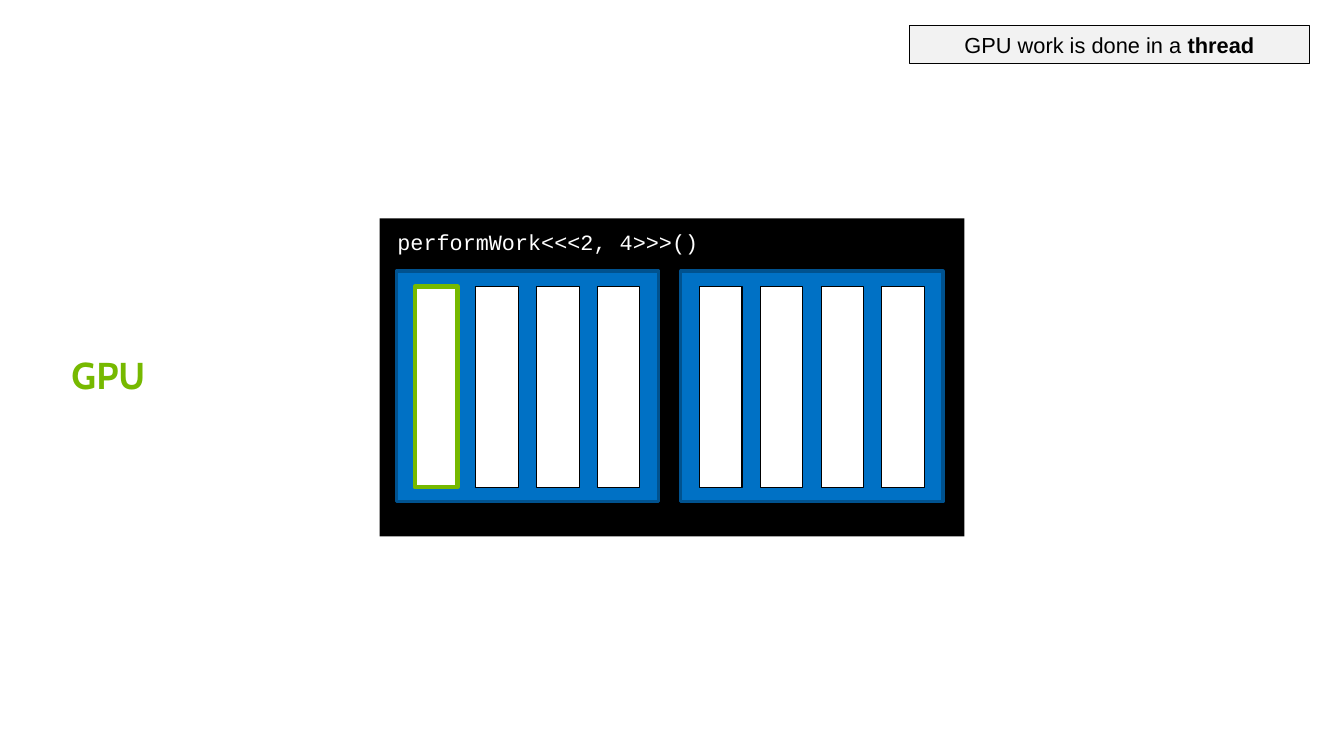
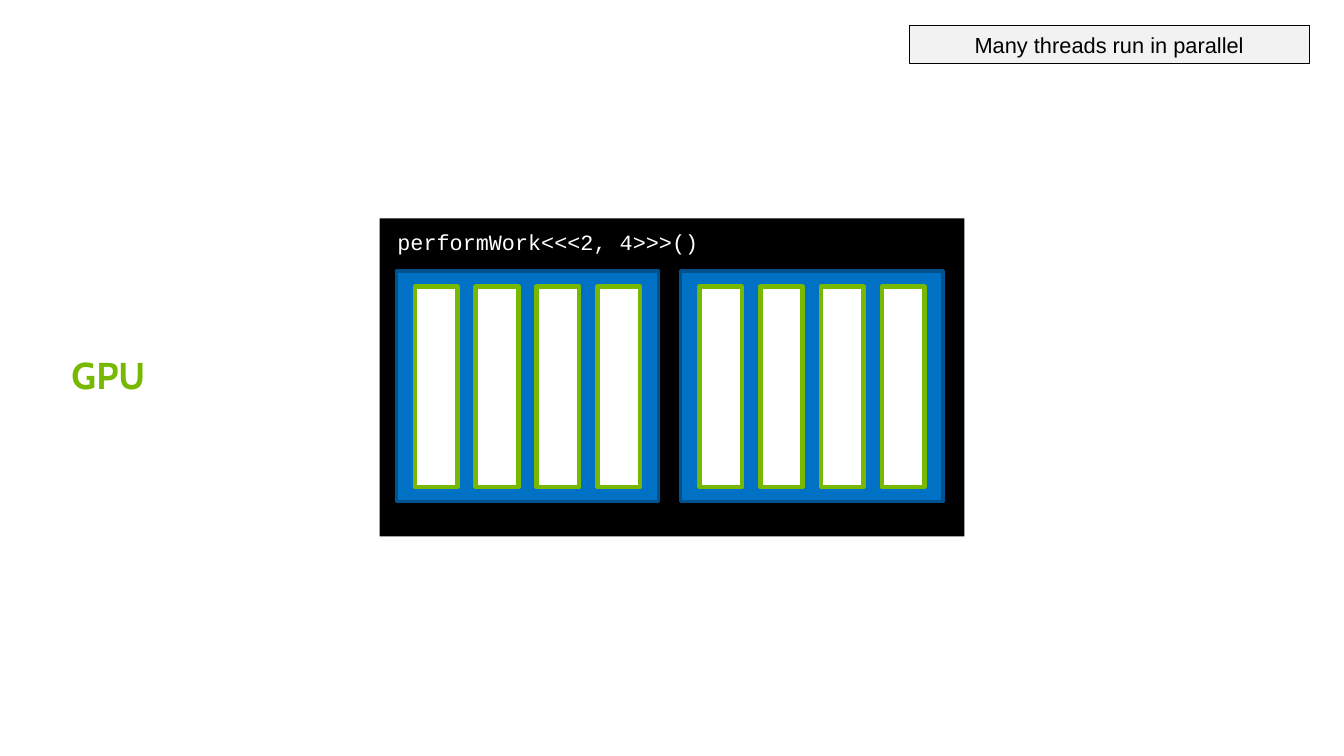
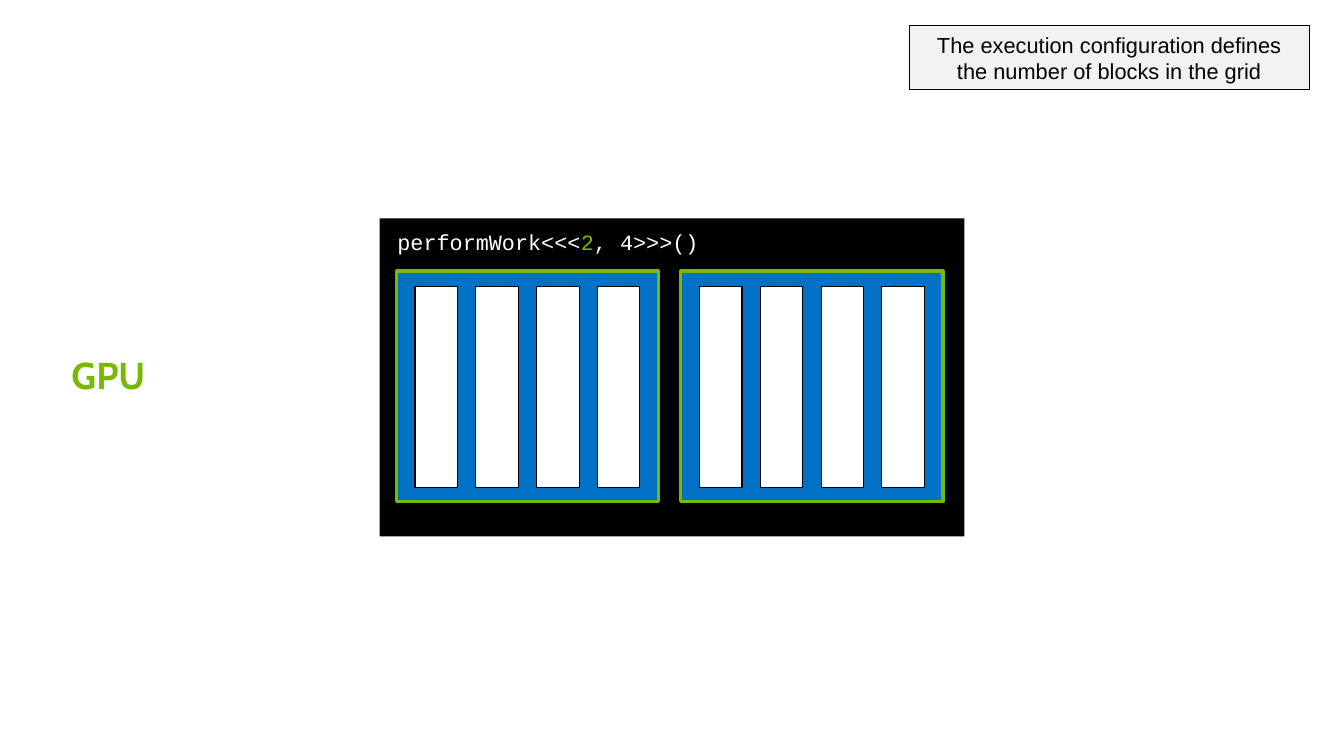
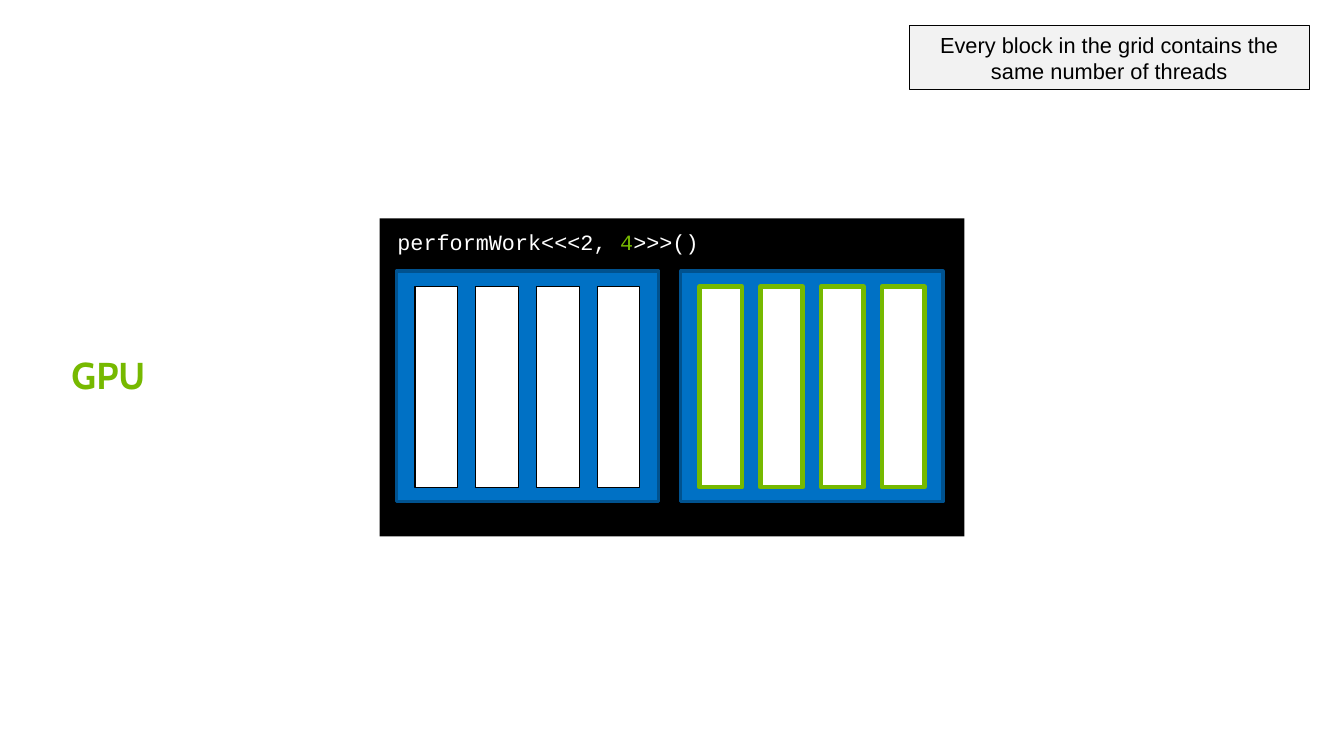
import pptx
import pptx.dml.color
import pptx.enum.shapes
import pptx.enum.text
import pptx.util

Inches = pptx.util.Inches
Pt = pptx.util.Pt
ALIGN = pptx.enum.text.PP_ALIGN
ANCHOR = pptx.enum.text.MSO_ANCHOR

# Shared colours
BLACK, WHITE, GREY = "000000", "FFFFFF", "F2F2F2"
GREEN, BLUE, DARK_BLUE = "76B900", "0071C5", "00528F"

# Grid of blocks and threads, in inches
BLOCK_COUNT, THREADS_PER_BLOCK = 2, 4
BLOCK_LEFT, BLOCK_TOP, BLOCK_WIDTH, BLOCK_HEIGHT = 3.54, 2.42, 2.34, 2.06
BLOCK_PITCH = 2.54
THREAD_INSET, THREAD_TOP, THREAD_WIDTH, THREAD_HEIGHT = 0.165, 2.56, 0.38, 1.79
THREAD_PITCH = 0.543
ALL_THREADS = range(BLOCK_COUNT * THREADS_PER_BLOCK)
CODE_MIDDLE = 2.16


def rgb(color):
    return pptx.dml.color.RGBColor.from_string(color)


def add_rectangle(shapes, left, top, width, height, fill, line=None, line_width=0.75):
    shape = shapes.add_shape(
        pptx.enum.shapes.MSO_SHAPE.RECTANGLE,
        Inches(left), Inches(top), Inches(width), Inches(height))
    shape.shadow.inherit = False
    shape.fill.solid()
    shape.fill.fore_color.rgb = rgb(fill)
    if line:
        shape.line.color.rgb = rgb(line)
        shape.line.width = Pt(line_width)
    else:
        shape.line.fill.background()
    return shape


def write_text(shape, runs, font, size, anchor, align=ALIGN.LEFT):
    """Fill a shape with one paragraph; each run is (text, colour, bold)."""
    frame = shape.text_frame
    frame.word_wrap = True
    frame.vertical_anchor = anchor
    paragraph = frame.paragraphs[0]
    paragraph.alignment = align
    for text, color, bold in runs:
        run = paragraph.add_run()
        run.text = text
        run.font.name = font
        run.font.size = Pt(size)
        run.font.bold = bold
        run.font.color.rgb = rgb(color)
    return paragraph


def add_kernel_grid(slide, code, code_height, active_threads, block_line):
    shapes = slide.shapes.add_group_shape().shapes
    add_rectangle(shapes, 3.39, 1.95, 5.22, 2.84, BLACK)

    # Kernel call
    label = add_rectangle(shapes, 3.45, CODE_MIDDLE - code_height / 2, 3.06, code_height, BLACK)
    runs = [(text, color, False) for text, color in code]
    write_text(label, runs, "Courier New", 14, ANCHOR.MIDDLE)

    # Blocks, then the threads inside them
    for block in reversed(range(BLOCK_COUNT)):
        add_rectangle(shapes, BLOCK_LEFT + block * BLOCK_PITCH, BLOCK_TOP,
                      BLOCK_WIDTH, BLOCK_HEIGHT, BLUE, block_line, 2)
    for thread in ALL_THREADS:
        block, column = divmod(thread, THREADS_PER_BLOCK)
        left = BLOCK_LEFT + block * BLOCK_PITCH + THREAD_INSET + column * THREAD_PITCH
        line, line_width = (GREEN, 3) if thread in active_threads else (BLACK, 0.75)
        add_rectangle(shapes, left, THREAD_TOP, THREAD_WIDTH, THREAD_HEIGHT,
                      WHITE, line, line_width)


def add_note(slide, runs, height):
    note = add_rectangle(slide.shapes, 8.12, 0.23, 3.57, height, GREY, BLACK)
    runs = [(text, BLACK, bold) for text, bold in runs]
    write_text(note, runs, "Arial", 14, ANCHOR.TOP, ALIGN.CENTER)


def add_gpu_label(slide):
    box = slide.shapes.add_textbox(Inches(0.54), Inches(3.14), Inches(0.97), Inches(0.46))
    paragraph = write_text(box, [("GPU", GREEN, True)], "Cabin", 24, ANCHOR.BOTTOM)
    paragraph.line_spacing = 0.9


def add_kernel_slide(presentation, note, note_height, code, code_height,
                     active_threads=(), block_line=DARK_BLUE):
    slide = presentation.slides.add_slide(presentation.slide_layouts[6])
    add_kernel_grid(slide, code, code_height, active_threads, block_line)
    add_note(slide, note, note_height)
    add_gpu_label(slide)


def main():
    presentation = pptx.Presentation()
    presentation.slide_width = Inches(12)
    presentation.slide_height = Inches(6.75)
    plain_code = [("performWork<<<2, 4>>>()", WHITE)]

    # One thread
    add_kernel_slide(presentation, [("GPU work is done in a ", False), ("thread", True)], 0.34,
                     plain_code, 0.25, active_threads=[0])

    # All threads
    add_kernel_slide(presentation, [("Many threads run in parallel", False)], 0.34,
                     plain_code, 0.25, active_threads=ALL_THREADS)

    # Number of blocks
    add_kernel_slide(
        presentation,
        [("The execution configuration defines the number of blocks in the grid", False)], 0.57,
        [("performWork<<<", WHITE), ("2", GREEN), (", 4>>>()", WHITE)], 0.34,
        block_line=GREEN)

    # Threads per block
    add_kernel_slide(
        presentation,
        [("Every block in the grid contains the same number of threads", False)], 0.57,
        [("performWork<<<2, ", WHITE), ("4", GREEN), (">>>()", WHITE)], 0.34,
        active_threads=ALL_THREADS[THREADS_PER_BLOCK:])

    presentation.save("out.pptx")


if __name__ == "__main__":
    main()
